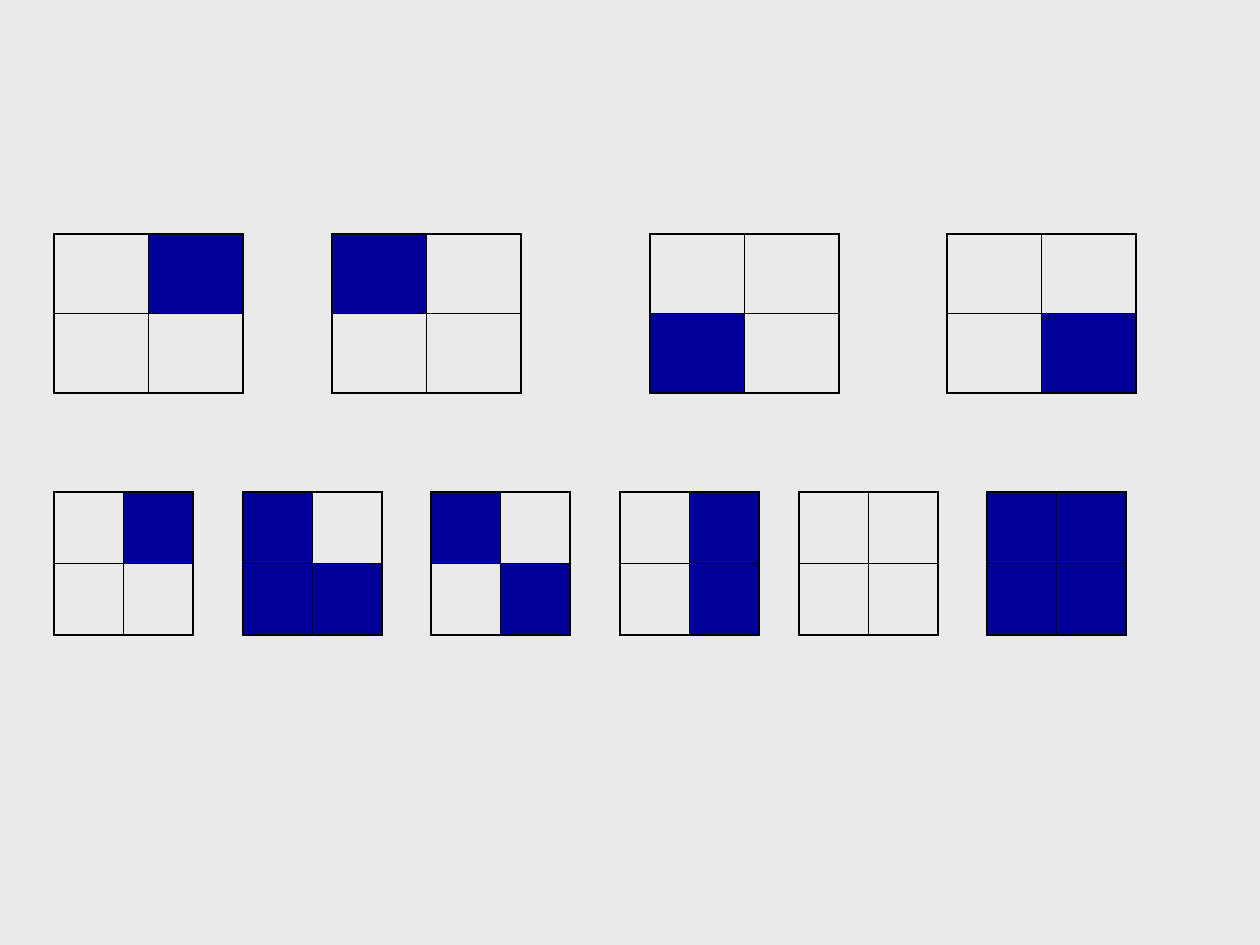
from itertools import product

from lxml.etree import SubElement
from pptx import Presentation
from pptx.dml.color import RGBColor
from pptx.oxml.ns import qn
from pptx.util import Emu, Pt

EMU_PER_PX = 914400 / 126
COLORS = {"background": "EAEAEA", "shaded": "000099", "border": "000000"}
TABLE_FORMAT = {"first_row": False, "horz_banding": False}
OUTER_WIDTH, INNER_WIDTH = Pt(1.08), Pt(0.45)
TOP_ROW = {54: (".#", ".."), 332: ("#.", ".."), 650: ("..", "#."), 947: ("..", ".#")}
BOTTOM_ROW = {
    54: (".#", ".."),
    243: ("#.", "##"),
    431: ("#.", ".#"),
    620: (".#", ".#"),
    799: ("..", ".."),
    987: ("##", "##"),
}


def emu(px):
    return Emu(round(px * EMU_PER_PX))


class PatternSlide:
    """Draws two-by-two shading patterns on one slide."""

    def __init__(self, presentation):
        self.slide = presentation.slides.add_slide(presentation.slide_layouts[6])
        self.paint(self.slide.background.fill, "background")

    def paint(self, fill, color):
        fill.solid()
        fill.fore_color.rgb = RGBColor.from_string(COLORS[color])

    def border(self, cell, side, width):
        properties = cell._tc.get_or_add_tcPr()
        line = SubElement(properties, qn(f"a:ln{side}"), w=str(width))
        solid = SubElement(line, qn("a:solidFill"))
        SubElement(solid, qn("a:srgbClr"), val=COLORS["border"])

    def pattern(self, left, top, width, height, rows):
        box = [emu(px) for px in (left, top, width, height)]
        grid = self.slide.shapes.add_table(2, 2, *box).table
        for name, value in TABLE_FORMAT.items():
            setattr(grid, name, value)
        for row, column in product(range(2), repeat=2):
            cell = grid.cell(row, column)
            outer_sides = {"L": column == 0, "R": column == 1, "T": row == 0, "B": row == 1}
            for side, outer in outer_sides.items():
                self.border(cell, side, OUTER_WIDTH if outer else INNER_WIDTH)
            if rows[row][column] == "#":
                self.paint(cell.fill, "shaded")
            else:
                cell.fill.background()

    def pattern_row(self, top, width, height, patterns):
        for left, rows in patterns.items():
            self.pattern(left, top, width, height, rows)


def main():
    presentation = Presentation()
    presentation.slide_width, presentation.slide_height = emu(1260), emu(945)
    slide = PatternSlide(presentation)
    slide.pattern_row(234, 189, 159, TOP_ROW)
    slide.pattern_row(492, 139, 143, BOTTOM_ROW)
    presentation.save("out.pptx")


if __name__ == "__main__":
    main()
